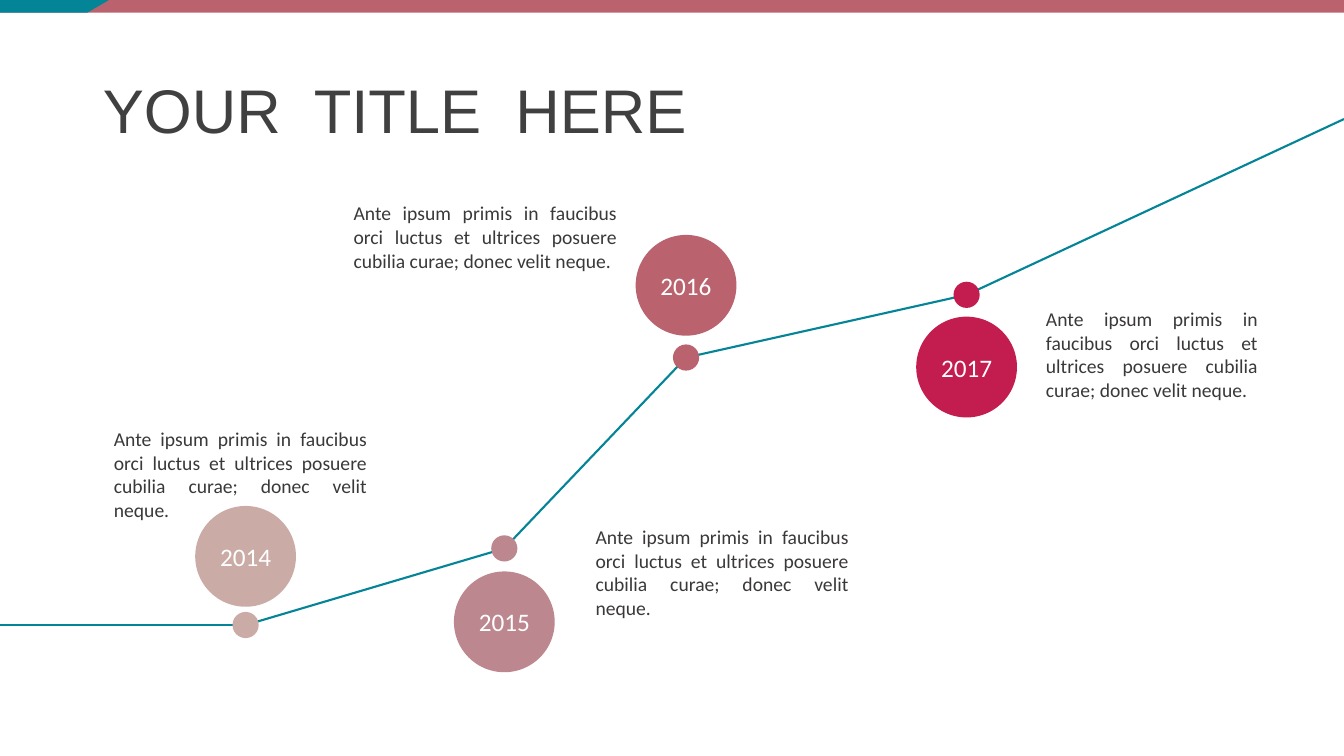
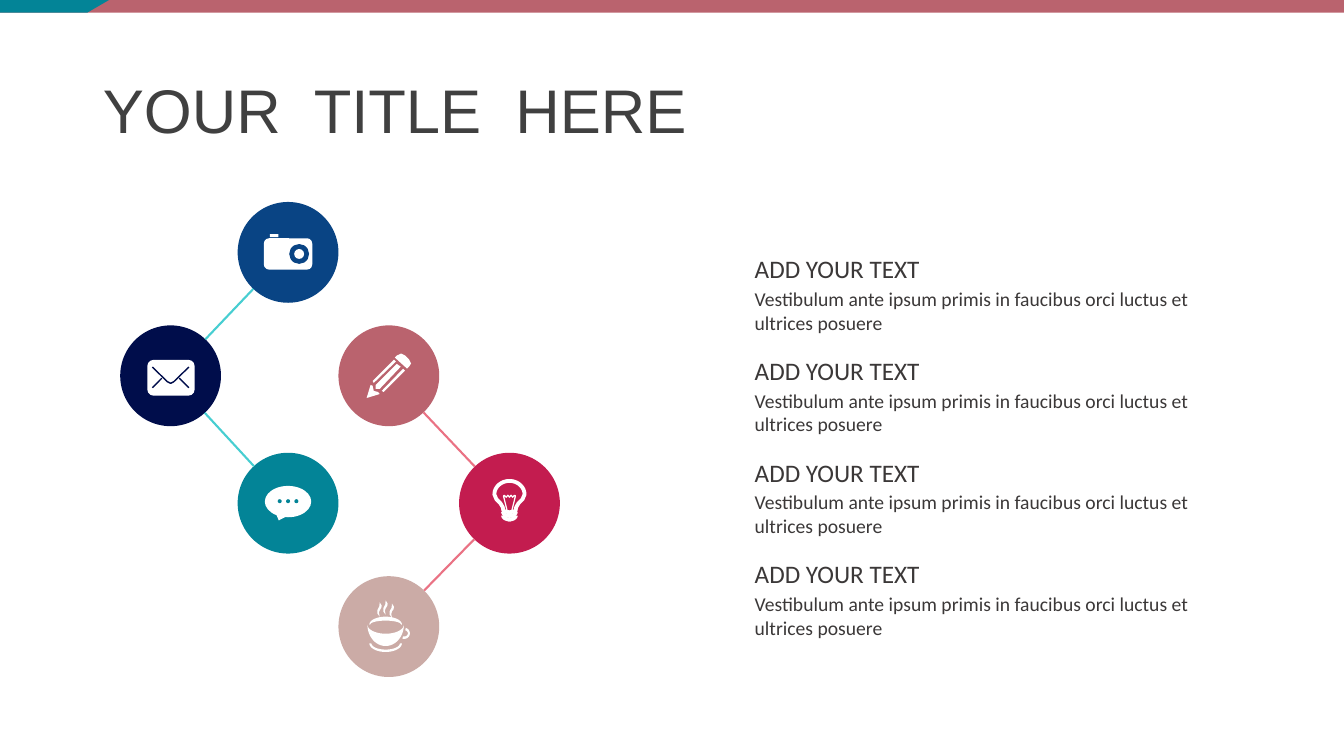
"""Builds a two-slide deck: a rising timeline and a chain of icons with notes."""
import math

from lxml import etree
from pptx import Presentation
from pptx.dml.color import RGBColor
from pptx.enum.shapes import MSO_CONNECTOR, MSO_SHAPE
from pptx.enum.text import MSO_ANCHOR, MSO_AUTO_SIZE, PP_ALIGN
from pptx.oxml.ns import qn
from pptx.util import Cm, Pt

OVAL = MSO_SHAPE.OVAL
RECTANGLE = MSO_SHAPE.RECTANGLE
ROUNDED = MSO_SHAPE.ROUNDED_RECTANGLE
SPEECH_BUBBLE = MSO_SHAPE.OVAL_CALLOUT
STRAIGHT = MSO_CONNECTOR.STRAIGHT
MIDDLE = MSO_ANCHOR.MIDDLE
TOP = MSO_ANCHOR.TOP
GROW = MSO_AUTO_SIZE.SHAPE_TO_FIT_TEXT
LEFT, CENTER, JUSTIFY = PP_ALIGN.LEFT, PP_ALIGN.CENTER, PP_ALIGN.JUSTIFY

WHITE = RGBColor(0xFF, 0xFF, 0xFF)
TITLE_GREY = RGBColor(0x40, 0x40, 0x40)
TEXT_GREY = RGBColor(0x3B, 0x38, 0x38)
TEAL = RGBColor(0x03, 0x84, 0x97)
ROSE = RGBColor(0xBA, 0x63, 0x6E)
SAND = RGBColor(0xCB, 0xAB, 0xA6)
MAUVE = RGBColor(0xBC, 0x87, 0x8E)
CRIMSON = RGBColor(0xC3, 0x1C, 0x4F)
NAVY = RGBColor(0x00, 0x0D, 0x4B)
BLUE = RGBColor(0x09, 0x44, 0x84)
AQUA = RGBColor(0x47, 0xCE, 0xD1)
PINK = RGBColor(0xEA, 0x72, 0x84)

SLIDE_WIDTH, SLIDE_HEIGHT = 33.87, 19.05
BAND_HEIGHT = 0.32
BADGE = 2.54
DOT = 0.66
TITLE = "YOUR  TITLE  HERE"
MILESTONE_TEXT = ("Ante ipsum primis in faucibus orci luctus et ultrices posuere "
                  "cubilia curae; donec velit neque.")
NOTE_HEADING = "ADD YOUR TEXT"
NOTE_TEXT = "Vestibulum ante ipsum primis in faucibus orci luctus et ultrices posuere"


def write(frame, text, size=14, color=TEXT_GREY, font="Calibri", align=LEFT,
          anchor=TOP, spacing=None):
    """Put one formatted paragraph into a text frame."""
    frame.word_wrap = True
    frame.vertical_anchor = anchor
    paragraph = frame.paragraphs[0]
    paragraph.text = text
    paragraph.alignment = align
    paragraph.line_spacing = spacing
    paragraph.font.size = Pt(size)
    paragraph.font.name = font
    paragraph.font.color.rgb = color


def add_text(slide, left, top, width, height, text, **style):
    """Add a text box that grows with its text."""
    box = slide.shapes.add_textbox(Cm(left), Cm(top), Cm(width), Cm(height))
    write(box.text_frame, text, **style)
    box.text_frame.auto_size = GROW


def add_figure(slide, kind, center, width, height, fill):
    """Add a plain filled preset shape around its center."""
    x, y = center
    figure = slide.shapes.add_shape(kind, Cm(x - width / 2), Cm(y - height / 2),
                                    Cm(width), Cm(height))
    figure.shadow.inherit = False
    figure.fill.solid()
    figure.fill.fore_color.rgb = fill
    figure.line.fill.background()
    return figure


def add_disc(slide, center, diameter, fill):
    """Add a filled circle."""
    return add_figure(slide, OVAL, center, diameter, diameter, fill)


def add_line(slide, start, end, color):
    """Add a straight line between two points."""
    ends = [Cm(value) for value in (*start, *end)]
    line = slide.shapes.add_connector(STRAIGHT, *ends)
    line.line.color.rgb = color
    line.line.width = Pt(1.5)
    etree.SubElement(line.element.spPr, qn("a:effectLst"))


def add_outline(slide, center, contours, fill=None, stroke=None, weight=1, closed=True):
    """Add one freeform made of contours given relative to a center."""
    moved = [[(Cm(center[0] + x), Cm(center[1] + y)) for x, y in contour]
             for contour in contours]
    builder = slide.shapes.build_freeform(*moved[0][0])
    for index, contour in enumerate(moved):
        if index:
            builder.move_to(*contour[0])
        builder.add_line_segments(contour[1:], close=closed)
    outline = builder.convert_to_shape()
    outline.shadow.inherit = False
    if fill is None:
        outline.fill.background()
    else:
        outline.fill.solid()
        outline.fill.fore_color.rgb = fill
    if stroke is None:
        outline.line.fill.background()
    else:
        outline.line.color.rgb = stroke
        outline.line.width = Pt(weight)


def arc(x, y, radius_x, radius_y, start, end, steps=24):
    """Return points on an ellipse between two angles in degrees."""
    angles = [math.radians(start + (end - start) * i / steps) for i in range(steps + 1)]
    return [(x + radius_x * math.cos(a), y + radius_y * math.sin(a)) for a in angles]


def crescent(x, y, outer, inner, start, end):
    """Return the band between two elliptic arcs."""
    return arc(x, y, *outer, start, end) + arc(x, y, *inner, end, start)


def offset(center, x, y):
    """Return a point moved from a center."""
    return center[0] + x, center[1] + y


def draw_camera(slide, center, ground):
    """Draw a camera."""
    add_figure(slide, ROUNDED, offset(center, 0, 0.04), 1.22, 0.79, WHITE)
    add_figure(slide, RECTANGLE, offset(center, -0.35, -0.42), 0.22, 0.08, WHITE)
    lens = offset(center, 0.28, 0.04)
    add_disc(slide, lens, 0.5, ground)
    add_disc(slide, lens, 0.25, WHITE)


def draw_envelope(slide, center, ground):
    """Draw a closed envelope."""
    add_figure(slide, ROUNDED, offset(center, 0.01, 0.05), 1.19, 0.9, WHITE)
    flap = [(-0.46, -0.22), (-0.08, 0.15), (0, 0.19), (0.08, 0.15), (0.46, -0.22)]
    folds = [[(side * 0.22, 0.06), (side * 0.46, 0.3)] for side in (-1, 1)]
    add_outline(slide, center, [flap, *folds], stroke=ground, closed=False)


def draw_chat(slide, center, ground):
    """Draw a speech bubble with three dots."""
    bubble = add_figure(slide, SPEECH_BUBBLE, offset(center, 0, -0.04), 1.17, 0.79, WHITE)
    bubble.adjustments[0] = -0.2
    bubble.adjustments[1] = 0.6
    for step in (-1, 0, 1):
        add_disc(slide, offset(center, step * 0.21, -0.05), 0.1, ground)


def draw_pencil(slide, center, ground):
    """Draw a pencil pointing down to the left."""
    eraser = [(0.46, -0.18), (0.15, -0.46), (0.2, -0.51), (0.31, -0.56),
              (0.41, -0.51), (0.51, -0.41), (0.56, -0.31), (0.51, -0.23)]
    edge = [(-0.18, 0.38), (-0.13, 0.41), (0.41, -0.13), (0.36, -0.18)]
    other_edge = [(-y, -x) for x, y in edge]
    core = [(0.2, -0.3), (-0.33, 0.23), (-0.33, 0.33), (-0.23, 0.33), (0.3, -0.23)]
    tip = [(-0.23, 0.46), (-0.27, 0.41), (-0.38, 0.38), (-0.41, 0.25),
           (-0.46, 0.23), (-0.56, 0.56)]
    add_outline(slide, center, [eraser, edge, other_edge, core, tip], fill=WHITE)


def draw_bulb(slide, center, ground):
    """Draw a light bulb."""
    neck = [(0.33, -0.1), (0.23, 0), (0.17, 0.1), (0.15, 0.2), (0, 0.23)]
    glass = arc(0, -0.22, 0.38, 0.34, 180, 360) + neck + [(-x, y) for x, y in neck[-2::-1]]
    add_outline(slide, center, [glass], stroke=WHITE, weight=2.75)
    threads = [arc(0, y, 0.16, 0.1, 0, 180) for y in (0.22, 0.31)]
    add_outline(slide, center, threads, stroke=WHITE, weight=2.75, closed=False)
    add_outline(slide, center, [arc(0, 0.41, 0.09, 0.05, 0, 180)], fill=WHITE)
    half = [(-0.05, 0.23), (-0.15, -0.18), (-0.13, -0.2), (-0.08, -0.15), (-0.04, -0.2)]
    filament = half + [(0, -0.15)] + [(-x, y) for x, y in reversed(half)]
    add_outline(slide, center, [filament], stroke=WHITE, weight=0.88, closed=False)


def draw_cup(slide, center, ground):
    """Draw a steaming cup on a saucer."""
    middle = -0.08
    rim = crescent(middle, -0.05, (0.41, 0.2), (0.39, 0.1), 180, 360)
    bowl = crescent(middle, -0.05, (0.46, 0.54), (0.46, 0.23), 0, 180)
    saucer = crescent(middle, 0.42, (0.41, 0.22), (0.36, 0.16), 0, 180)
    handle = crescent(0.39, 0.17, (0.14, 0.14), (0.09, 0.08), -75, 110)
    wisp = [(0, 0), (0.05, 0.08), (0.04, 0.14), (0, 0.2), (-0.02, 0.26), (0, 0.36),
            (-0.06, 0.28), (-0.06, 0.2), (-0.01, 0.1)]
    steam = [[(x + left, y + top) for x, y in wisp]
             for left, top in ((-0.23, -0.61), (middle, -0.66), (0.08, -0.58))]
    add_outline(slide, center, [rim, bowl, saucer, handle, *steam], fill=WHITE)


def start_slide(deck):
    """Add a slide with the top band and the title."""
    slide = deck.slides.add_slide(deck.slide_layouts[5])
    add_figure(slide, RECTANGLE, (SLIDE_WIDTH / 2, BAND_HEIGHT / 2),
               SLIDE_WIDTH, BAND_HEIGHT, ROSE)
    corner = [(0, 0), (2.75, 0), (2.2, BAND_HEIGHT), (0, BAND_HEIGHT)]
    add_outline(slide, (0, 0), [corner], fill=TEAL)
    title = slide.shapes.title
    title.left, title.top, title.width, title.height = Cm(2.34), Cm(1.02), Cm(29.21), Cm(3.68)
    write(title.text_frame, TITLE, size=44, color=TITLE_GREY, font="Arial",
          anchor=MIDDLE, spacing=0.9)
    return slide


def build_timeline(deck):
    """Build the rising timeline of four years."""
    slide = start_slide(deck)
    milestones = [
        ("2014", SAND, (6.19, 15.75), 14.02, (2.62, 10.64, 6.88, 2.06)),
        ("2015", MAUVE, (12.71, 13.82), 15.67, (14.76, 13.11, 6.88, 2.06)),
        ("2016", ROSE, (17.29, 9.01), 7.19, (8.66, 4.95, 7.14, 2.06)),
        ("2017", CRIMSON, (24.36, 7.43), 9.25, (26.11, 7.62, 5.84, 2.64)),
    ]
    route = [(0, 15.75), *(dot for _, _, dot, _, _ in milestones), (SLIDE_WIDTH, 3)]
    for start, end in zip(route, route[1:]):
        add_line(slide, start, end, TEAL)
    for year, color, dot, badge_y, text_area in milestones:
        add_disc(slide, dot, DOT, color)
        add_text(slide, *text_area, MILESTONE_TEXT, align=JUSTIFY)
        badge = add_disc(slide, (dot[0], badge_y), BADGE, color)
        write(badge.text_frame, year, size=18, color=WHITE, align=CENTER, anchor=MIDDLE)


def link_badges(slide, first, second, color):
    """Join the rims of two badges."""
    x, y = second[0] - first[0], second[1] - first[1]
    share = BADGE / 2 / math.hypot(x, y)
    add_line(slide, offset(first, x * share, y * share),
             offset(second, -x * share, -y * share), color)


def build_icon_chain(deck):
    """Build the two chains of icons and the four notes."""
    slide = start_slide(deck)
    chains = [
        (AQUA, [((7.26, 6.36), BLUE, draw_camera), ((4.3, 9.47), NAVY, draw_envelope),
                ((7.26, 12.68), TEAL, draw_chat)]),
        (PINK, [((9.8, 9.47), ROSE, draw_pencil), ((12.84, 12.68), CRIMSON, draw_bulb),
                ((9.8, 15.79), SAND, draw_cup)]),
    ]
    for link_color, badges in chains:
        for center, ground, draw_icon in badges:
            add_disc(slide, center, BADGE, ground)
            draw_icon(slide, center, ground)
        for (first, _, _), (second, _, _) in zip(badges, badges[1:]):
            link_badges(slide, first, second, link_color)
    for row in range(4):
        top = 6.27 + row * 2.56
        add_text(slide, 18.77, top, 5.03, 1.02, NOTE_HEADING, size=18)
        add_text(slide, 18.77, top + 0.84, 12.78, 1.45, NOTE_TEXT)


def main():
    """Build and save the deck."""
    deck = Presentation()
    deck.slide_width, deck.slide_height = Cm(SLIDE_WIDTH), Cm(SLIDE_HEIGHT)
    build_timeline(deck)
    build_icon_chain(deck)
    deck.save("out.pptx")


if __name__ == "__main__":
    main()
